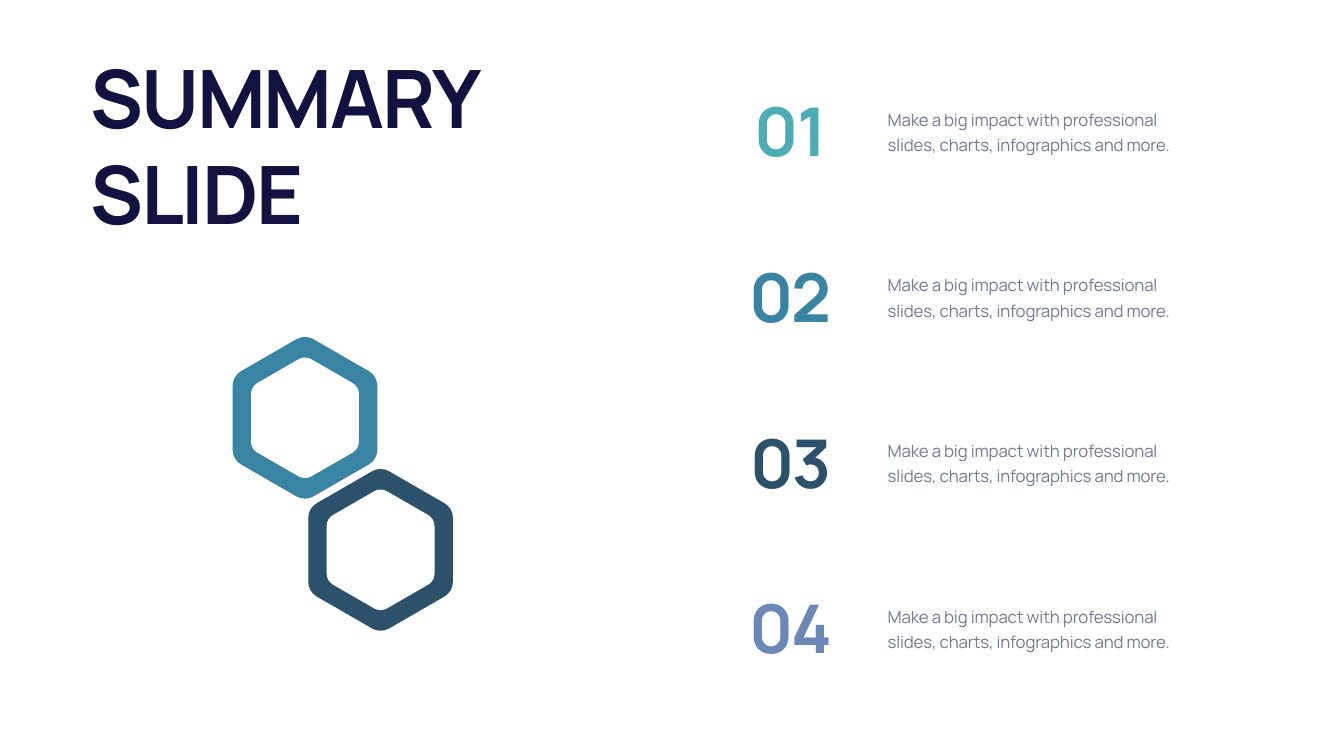
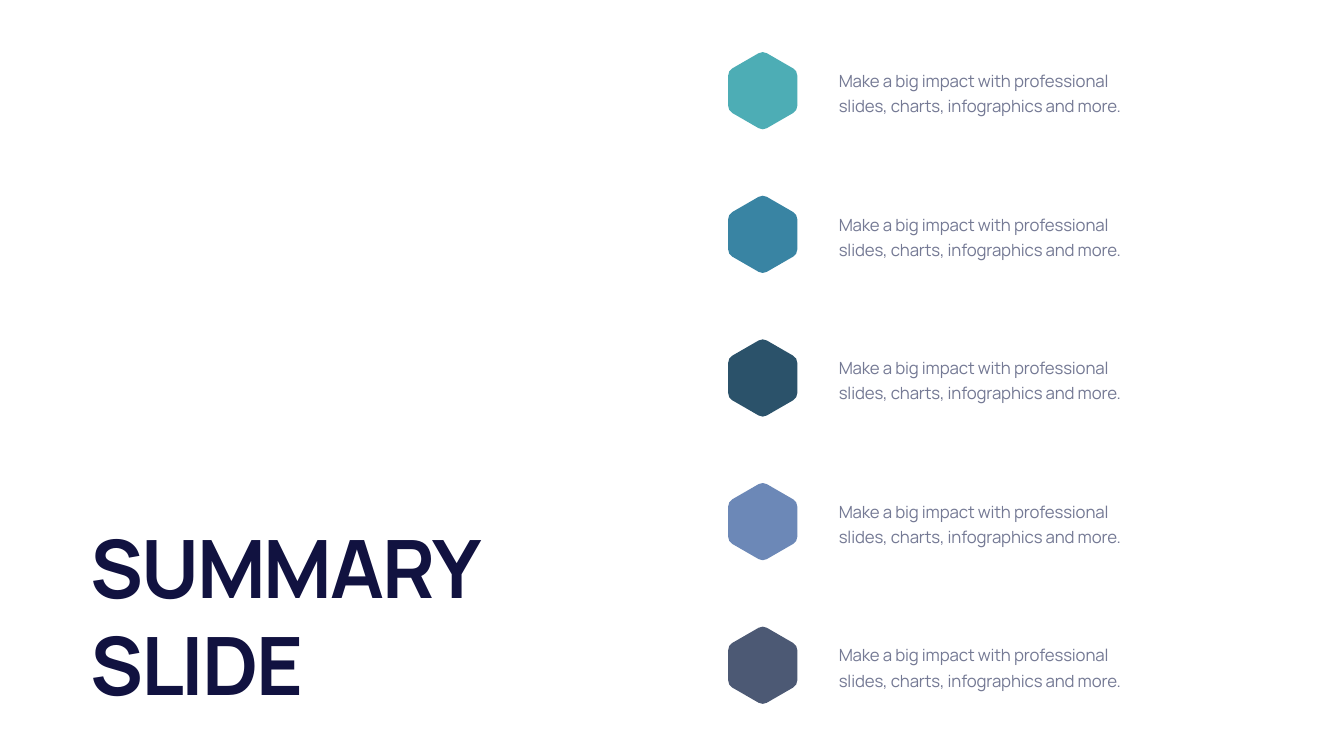
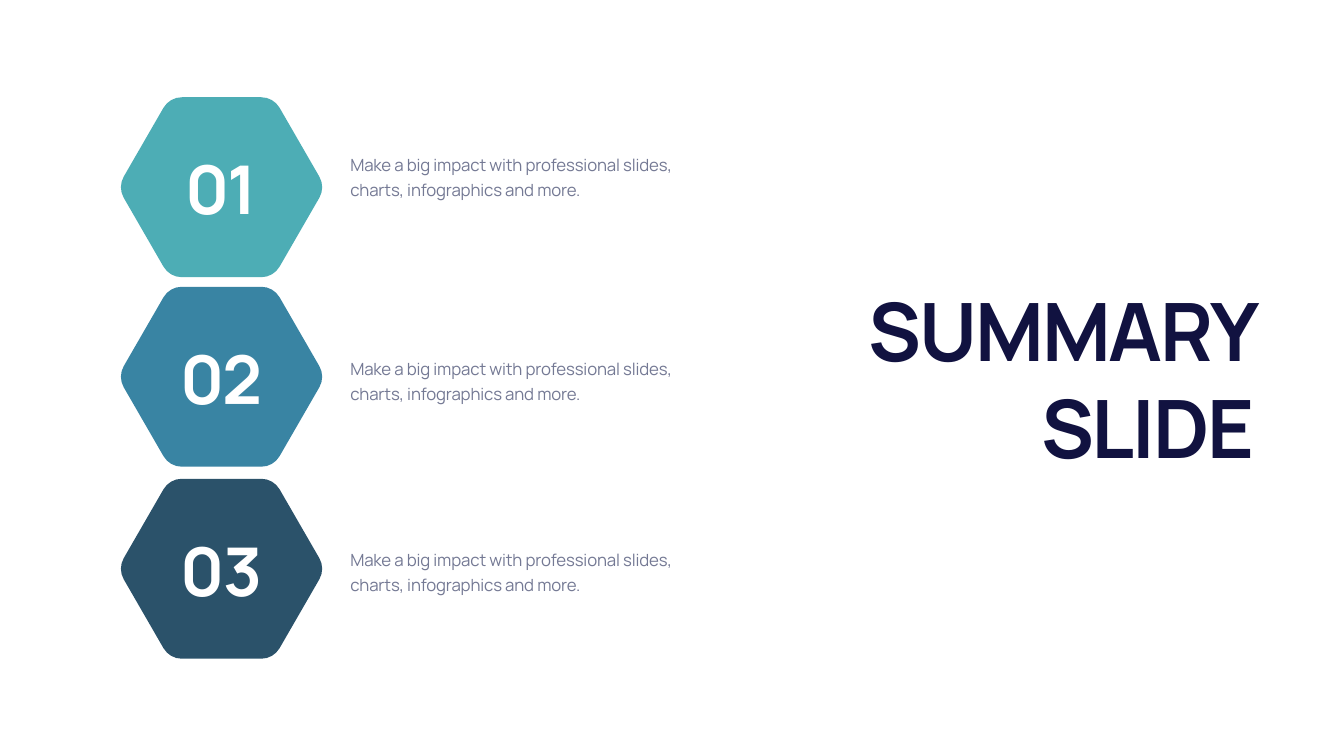
from math import cos, radians, sin, sqrt, tan

from lxml.etree import SubElement
from pptx import Presentation
from pptx.dml.color import RGBColor
from pptx.enum.text import MSO_ANCHOR, MSO_AUTO_SIZE, PP_ALIGN
from pptx.oxml.ns import qn
from pptx.util import Inches, Pt

TITLE = "SUMMARY SLIDE"
MESSAGE = "Make a big impact with professional slides, charts, infographics and more."

NUMBER_LIST = {
    "title": {"left": 1.69, "top": 0.86, "width": 9.66, "anchor": MSO_ANCHOR.BOTTOM},
    "rows": [("01", "teal"), ("02", "blue"), ("03", "navy"), ("04", "periwinkle")],
    "first_middle": 2.57, "last_middle": 12.43, "number_left": 14.61, "message_left": 17.51,
    "rings": [(7.55, 10.91, "navy"), (6.05, 8.29, "blue")],
    "outer_span": 2.87, "inner_span": 2.14,
}
HEXAGON_LIST = {
    "title": {"left": 1.69, "top": 10.19, "width": 11.41, "anchor": MSO_ANCHOR.BOTTOM},
    "rows": ["teal", "blue", "navy", "periwinkle", "slate"],
    "first_middle": 1.8, "last_middle": 13.2, "hexagon_center": 15.13, "message_left": 16.54,
    "span": 1.37,
}
HEXAGON_STACK = {
    "title": {"left": 16.33, "top": 5.51, "width": 8.66, "anchor": MSO_ANCHOR.MIDDLE,
              "align": PP_ALIGN.RIGHT},
    "rows": [("01", "teal", 1.93, 2.92), ("02", "blue", 5.69, 6.96), ("03", "navy", 9.5, 10.75)],
    "number_left": 3.32, "message_left": 6.85, "span": 3.57,
}

THEME = {
    "font": "Manrope",
    "colors": {
        "white": "FFFFFF", "ink": "111240", "gray": "747994", "teal": "4DADB5",
        "blue": "3984A3", "navy": "2B526A", "periwinkle": "6C88B7", "slate": "4C5974",
    },
    "styles": {
        "title": {"size": 115, "bold": True, "tracking": -290, "height": 3.97},
        "number": {"size": 96, "bold": True, "tracking": -290, "height": 1.72},
        "message": {"size": 24, "bold": False, "tracking": -20, "height": 1.08, "leading": 36},
    },
}
NUMBER_WIDTH = 2.15
CORNER_RATIO = 0.235


def color(name):
    return RGBColor.from_string(THEME["colors"][name])


def apply(target, values):
    for name, value in values.items():
        setattr(target, name, value)


def height_of(style_name):
    return THEME["styles"][style_name]["height"]


def row_middles(content):
    first, last = content["first_middle"], content["last_middle"]
    pitch = (last - first) / (len(content["rows"]) - 1)
    return [first + index * pitch for index in range(len(content["rows"]))]


def add_text(page, text, style_name, left, top, width, color_name,
             anchor=MSO_ANCHOR.MIDDLE, align=PP_ALIGN.LEFT):
    style = THEME["styles"][style_name]
    box = page.shapes.add_textbox(
        Inches(left), Inches(top), Inches(width), Inches(style["height"]))
    apply(box.text_frame, {
        "word_wrap": True, "auto_size": MSO_AUTO_SIZE.SHAPE_TO_FIT_TEXT, "vertical_anchor": anchor})
    para = box.text_frame.paragraphs[0]
    para.alignment = align
    if "leading" in style:
        para.line_spacing = Pt(style["leading"])
    span = para.add_run()
    span.text = text
    apply(span.font, {"name": THEME["font"], "size": Pt(style["size"]), "bold": style["bold"]})
    span.font.color.rgb = color(color_name)
    span._r.get_or_add_rPr().set("spc", str(style["tracking"]))


def add_title(page, placement):
    add_text(page, TITLE, "title", color_name="ink", **placement)


def add_number(page, number, left, middle, color_name):
    add_text(page, number, "number", left, middle - height_of("number") / 2, NUMBER_WIDTH,
             color_name, MSO_ANCHOR.BOTTOM, PP_ALIGN.CENTER)


def add_message(page, left, middle):
    add_text(page, MESSAGE, "message", left, middle - height_of("message") / 2, 6.34, "gray")


def round_corners(hexagon):
    outline = hexagon._element.find(".//" + qn("a:path"))
    lines = outline.findall(qn("a:lnTo"))
    for corner in range(0, len(lines), 4):
        curve = SubElement(outline, qn("a:cubicBezTo"))
        lines[corner].addprevious(curve)
        for line in lines[corner:corner + 3]:
            curve.append(line[0])
            outline.remove(line)


def add_hexagon(page, center, middle, span, color_name, first_angle=30):
    radius = span / 2 * CORNER_RATIO
    reach = (span / 2 - radius) * 2 / sqrt(3)
    handle = radius * 4 / 3 * tan(radians(15))
    points = []
    for corner in range(first_angle, first_angle + 360, 60):
        for turn, offset in [(-30, 0), (-30, handle), (30, -handle), (30, 0)]:
            angle = radians(corner + turn)
            x = center + reach * cos(radians(corner)) + radius * cos(angle) - offset * sin(angle)
            y = middle + reach * sin(radians(corner)) + radius * sin(angle) + offset * cos(angle)
            points.append((Inches(x), Inches(y)))
    builder = page.shapes.build_freeform(*points[0])
    builder.add_line_segments(points[1:], close=True)
    hexagon = builder.convert_to_shape()
    round_corners(hexagon)
    hexagon.shadow.inherit = False
    hexagon.fill.solid()
    hexagon.fill.fore_color.rgb = color(color_name)
    hexagon.line.fill.background()


def build_number_list(page, content):
    add_title(page, content["title"])
    for center, middle, color_name in content["rings"]:
        add_hexagon(page, center, middle, content["outer_span"], color_name)
    for center, middle, _ in content["rings"]:
        add_hexagon(page, center, middle, content["inner_span"], "white")
    for (number, color_name), middle in zip(content["rows"], row_middles(content)):
        add_message(page, content["message_left"], middle)
        add_number(page, number, content["number_left"], middle, color_name)


def build_hexagon_list(page, content):
    add_title(page, content["title"])
    middles = row_middles(content)
    for color_name, middle in zip(content["rows"], middles):
        add_hexagon(page, content["hexagon_center"], middle, content["span"], color_name)
    for middle in middles:
        add_message(page, content["message_left"], middle)


def build_hexagon_stack(page, content):
    left, span = content["number_left"], content["span"]
    for _, color_name, top, _ in content["rows"]:
        add_hexagon(page, left + NUMBER_WIDTH / 2, top + span / 2, span, color_name, first_angle=0)
    for _, _, _, message_top in content["rows"]:
        add_text(page, MESSAGE, "message", content["message_left"], message_top, 6.95, "gray",
                 MSO_ANCHOR.TOP)
    add_title(page, content["title"])
    for number, _, top, _ in content["rows"]:
        add_number(page, number, left, top + span / 2, "white")


deck = Presentation()
apply(deck, {"slide_width": Inches(26.66), "slide_height": Inches(15)})
for build, content in [(build_number_list, NUMBER_LIST), (build_hexagon_list, HEXAGON_LIST),
                       (build_hexagon_stack, HEXAGON_STACK)]:
    page = deck.slides.add_slide(deck.slide_layouts[6])
    page.background.fill.solid()
    page.background.fill.fore_color.rgb = color("white")
    build(page, content)
deck.save("out.pptx")
